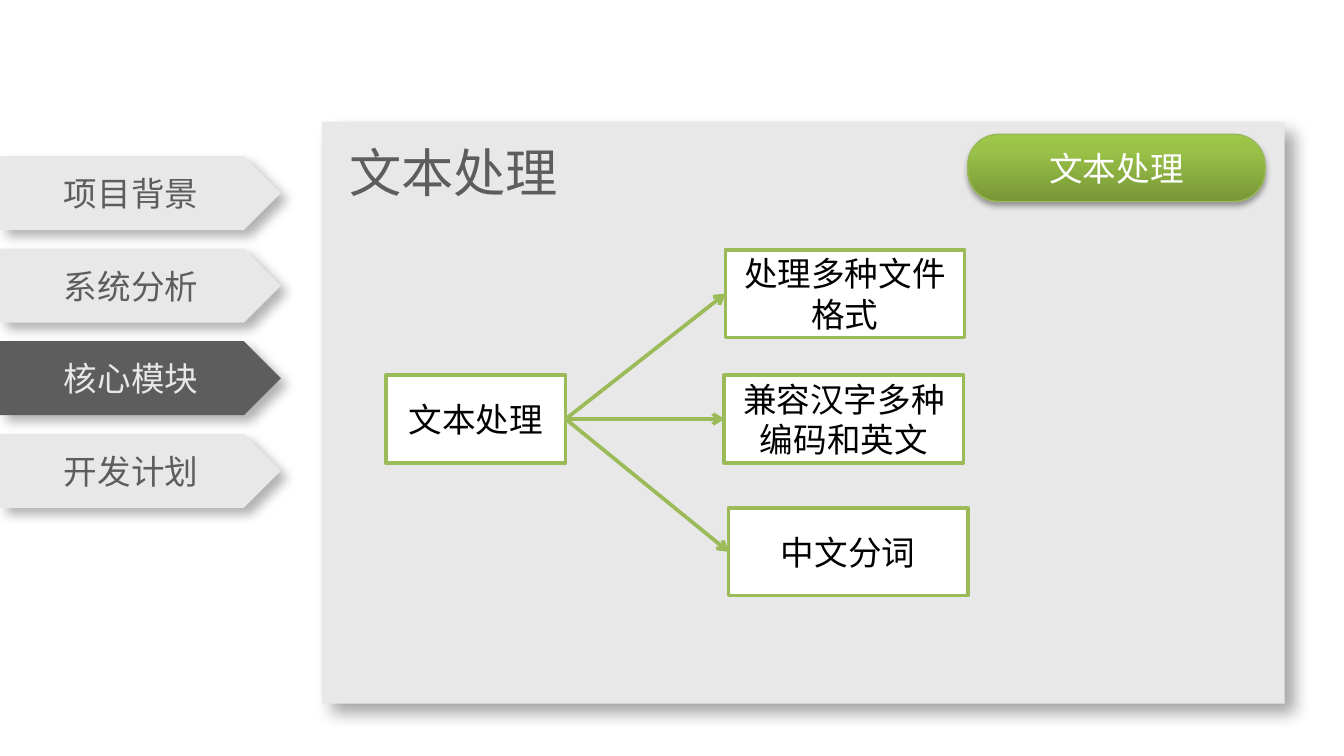
from copy import deepcopy

from lxml import etree
from pptx import Presentation
from pptx import util as u
from pptx.dml.color import RGBColor
from pptx.enum import shapes, text
from pptx.oxml import ns

PALE, DARK, GREEN = "E8E8E8", "5D5D5D", "9BBB59"


def rgb(hex_colour):
    return RGBColor.from_string(hex_colour)


def add_xml(parent, tag, **attributes):
    child = etree.SubElement(parent, ns.qn(tag))
    for name, value in attributes.items():
        child.set(name, str(value))
    return child


def write(frame, words, size=18, font="Calibri", colour="000000",
          align=text.PP_ALIGN.CENTER, anchor=text.MSO_ANCHOR.MIDDLE):
    frame.word_wrap = True
    frame.vertical_anchor = anchor
    paragraph = frame.paragraphs[0]
    paragraph.alignment = align
    run = paragraph.add_run()
    run.text = words
    run.font.size = u.Pt(size)
    run.font.name = font
    run.font.color.rgb = rgb(colour)


def add_block(slide, kind, left, top, width, height, fill,
              line=None, line_width=2, shadow=None):
    """Shape with measures in cm; shadow is (opacity %, blur pt, distance pt, angle)."""
    block = slide.shapes.add_shape(
        kind, u.Cm(left), u.Cm(top), u.Cm(width), u.Cm(height))
    block.fill.solid()
    block.fill.fore_color.rgb = rgb(fill)
    if line:
        block.line.color.rgb = rgb(line)
        block.line.width = u.Pt(line_width)
    else:
        block.line.fill.background()
    block.shadow.inherit = False
    if shadow:
        opacity, blur, distance, angle = shadow
        effects = block._element.spPr.find(ns.qn("a:effectLst"))
        outer = add_xml(effects, "a:outerShdw", blurRad=u.Pt(blur), dist=u.Pt(distance),
                        dir=angle * 60000, algn="ctr", rotWithShape=0)
        black = add_xml(outer, "a:srgbClr", val="000000")
        add_xml(black, "a:alpha", val=opacity * 1000)
    return block


def shade_upwards(block, stops):
    """Fill with a gradient from bottom to top; stops are (percent, colour)."""
    block.fill.gradient()
    block.fill.gradient_angle = 90
    stop_list = block._element.spPr.find(".//" + ns.qn("a:gsLst"))
    while len(stop_list) < len(stops):
        stop_list.append(deepcopy(stop_list[-1]))
    for stop, (percent, colour) in zip(block.fill.gradient_stops, stops):
        stop.position = percent / 100
        stop.color.rgb = rgb(colour)


def add_topic(slide, words, left, top, width):
    topic = add_block(slide, shapes.MSO_SHAPE.RECTANGLE, left, top, width, 1.66,
                      "FFFFFF", line=GREEN)
    write(topic.text_frame, words)
    return topic


def add_arrow(slide, source, target):
    arrow = slide.shapes.add_connector(shapes.MSO_CONNECTOR.STRAIGHT, 0, 0, 0, 0)
    arrow.begin_connect(source, 3)
    arrow.end_connect(target, 1)
    arrow.line.color.rgb = rgb(GREEN)
    arrow.line.width = u.Pt(2)
    add_xml(arrow.line._get_or_add_ln(), "a:tailEnd", type="arrow")
    add_xml(arrow._element.spPr, "a:effectLst")


def add_panel(slide):
    add_block(slide, shapes.MSO_SHAPE.RECTANGLE, 6.08, 2.3, 18.2, 11,
              PALE, shadow=(35, 9, 8, 45))
    heading = slide.shapes.add_textbox(u.Cm(6.35), u.Cm(2.52), u.Cm(7.36), u.Cm(1.45))
    write(heading.text_frame, "文本处理", size=28, font="Noto Sans CJK SC", colour=DARK,
          align=text.PP_ALIGN.LEFT, anchor=text.MSO_ANCHOR.TOP)

    badge = add_block(slide, shapes.MSO_SHAPE.ROUNDED_RECTANGLE, 18.29, 2.54, 5.62, 1.27,
                      GREEN, line="98B955", line_width=0.75, shadow=(35, 3.1, 1.8, 90))
    badge.adjustments[0] = 0.46
    shade_upwards(badge, [(0, "779737"), (80, "9BC348"), (100, "9DC746")])
    write(badge.text_frame, "文本处理", colour="FFFFFF")


def add_diagram(slide):
    root = add_topic(slide, "文本处理", 7.29, 7.09, 3.4)
    branches = [
        add_topic(slide, words, left, top, 4.52)
        for words, left, top in [
            ("处理多种文件格式", 13.71, 4.72),
            ("兼容汉字多种编码和英文", 13.69, 7.09),
            ("中文分词", 13.77, 9.6),
        ]
    ]
    for branch in branches:
        add_arrow(slide, root, branch)


def add_navigation(slide, sections, current):
    for index, section in enumerate(sections):
        fill, colour = (DARK, PALE) if section == current else (PALE, DARK)
        tab = add_block(slide, shapes.MSO_SHAPE.PENTAGON, 0, 2.95 + 1.75 * index,
                        5.31, 1.4, fill, shadow=(30, 6, 5, 45))
        write(tab.text_frame, section, font="DejaVu Sans", colour=colour)


def main():
    deck = Presentation()
    deck.slide_width, deck.slide_height = u.Cm(25.4), u.Cm(14.29)
    slide = deck.slides.add_slide(deck.slide_layouts[6])

    # Content panel with its heading and badge
    add_panel(slide)
    # Topic and its three branches
    add_diagram(slide)
    # Section tabs at the left edge
    add_navigation(slide, ["项目背景", "系统分析", "核心模块", "开发计划"], "核心模块")

    deck.save("out.pptx")


if __name__ == "__main__":
    main()
